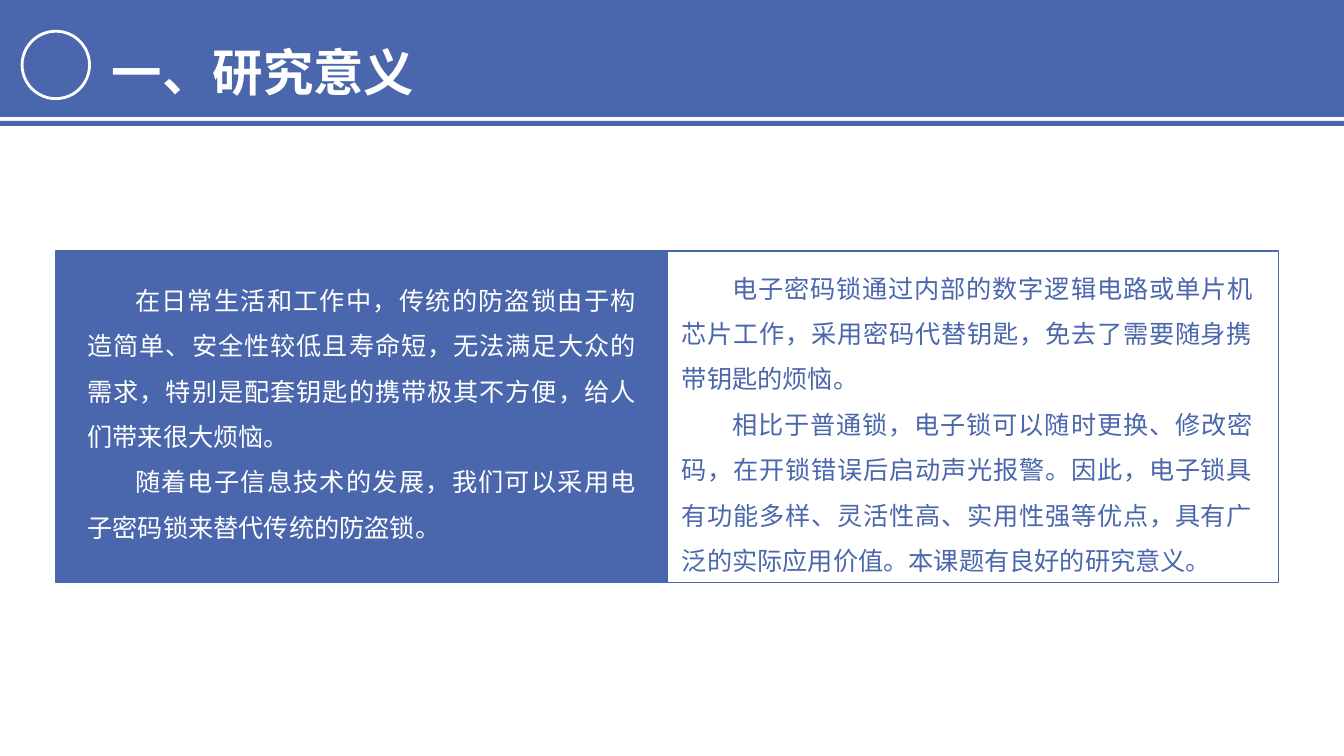
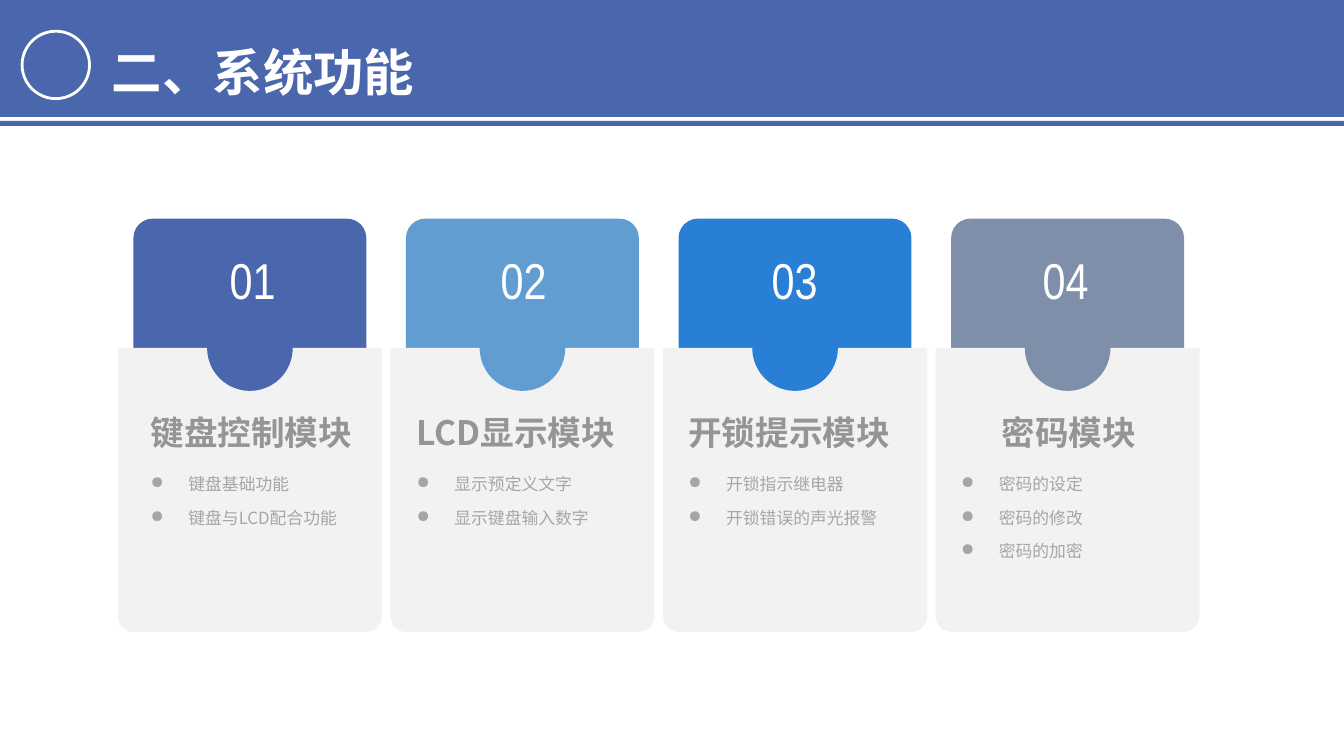
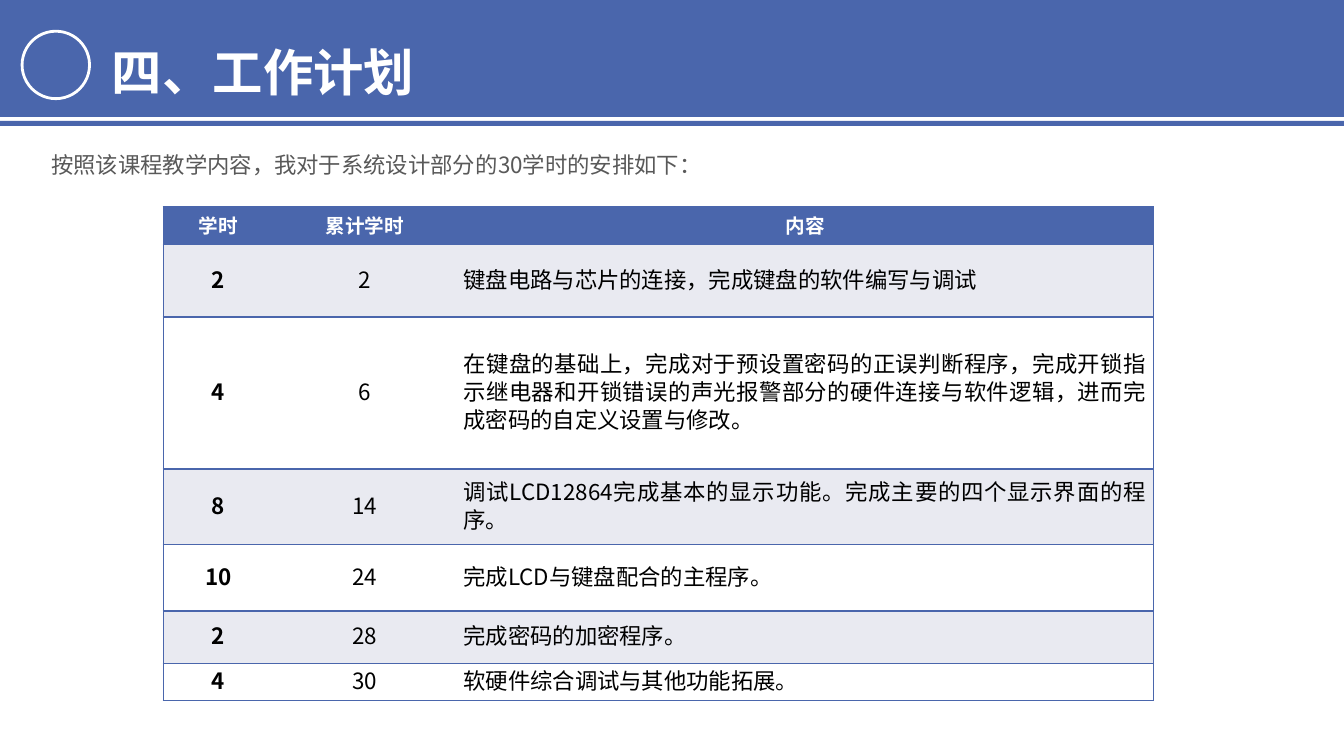
import lxml.etree
import pptx
import pptx.dml.color
import pptx.enum.shapes
import pptx.enum.text
import pptx.oxml.ns
import pptx.util

Pt = pptx.util.Pt
RGB = pptx.dml.color.RGBColor
SHAPE = pptx.enum.shapes.MSO_SHAPE
ALIGN = pptx.enum.text.PP_ALIGN
ANCHOR = pptx.enum.text.MSO_ANCHOR
qn = pptx.oxml.ns.qn

BLUE = RGB(0x4A, 0x66, 0xAC)
SKY = RGB(0x62, 0x9D, 0xD1)
AZURE = RGB(0x29, 0x7F, 0xD5)
SLATE = RGB(0x7F, 0x8F, 0xA9)
WHITE = RGB(0xFF, 0xFF, 0xFF)
BLACK = RGB(0x00, 0x00, 0x00)
PALE = RGB(0xF2, 0xF2, 0xF2)
STRIPE = RGB(0xE9, 0xEA, 0xF1)
HEAD = RGB(0x95, 0x95, 0x95)
ITEM = RGB(0xA6, 0xA6, 0xA6)
NOTE = RGB(0x59, 0x59, 0x59)
HAN = "Noto Sans CJK SC"


def put(frame, text, size=16, color=BLACK, font=HAN, bold=False, align=ALIGN.LEFT,
        space=None, before=None, indent=0, hang=0, bullet=None,
        anchor=ANCHOR.TOP, inset=(7.2, 3.6)):
    """Fill a text frame, one paragraph per line of text."""
    frame.word_wrap = True
    frame.auto_size = pptx.enum.text.MSO_AUTO_SIZE.NONE
    frame.vertical_anchor = anchor
    frame.margin_left = frame.margin_right = Pt(inset[0])
    frame.margin_top = frame.margin_bottom = Pt(inset[1])
    frame.text = text
    for para in frame.paragraphs:
        para.alignment = align
        para.line_spacing = space
        para.space_before = before
        props = para._p.get_or_add_pPr()
        props.set("marL", str(Pt(hang)))
        props.set("indent", str(Pt(indent - hang)))
        if bullet:
            lxml.etree.SubElement(props, qn("a:buChar")).set("char", bullet)
        for run in para.runs:
            run.font.size = Pt(size)
            run.font.bold = bold
            run.font.color.rgb = color
            run.font.name = font
            east = lxml.etree.SubElement(run._r.get_or_add_rPr(), qn("a:ea"))
            east.set("typeface", HAN)


def edge(cell, sides):
    """Draw the named sides of a cell (from L, R, T, B) and clear the others."""
    props = cell._tc.get_or_add_tcPr()
    for side in "LRTB":
        line = lxml.etree.SubElement(props, qn("a:ln" + side), w=str(Pt(1)))
        if side in sides:
            fill = lxml.etree.SubElement(line, qn("a:solidFill"))
            lxml.etree.SubElement(fill, qn("a:srgbClr"), val=str(BLUE))
        else:
            lxml.etree.SubElement(line, qn("a:noFill"))


class Deck:
    def __init__(self):
        self.file = pptx.Presentation()
        self.file.slide_width, self.file.slide_height = Pt(960), Pt(540)
        self.slide = None

    def page(self, title):
        """Start a slide with the banner, ring and title."""
        self.slide = self.file.slides.add_slide(self.file.slide_layouts[5])
        self.shape(SHAPE.RECTANGLE, 0, 0, 960, 83.5, BLUE)
        self.shape(SHAPE.RECTANGLE, 0, 86.4, 960, 3.6, BLUE)
        self.shape(SHAPE.OVAL, 15.8, 22.3, 48.2, 48.2, BLUE, WHITE, 2)
        head = self.slide.shapes.title
        head.left, head.top, head.width, head.height = map(Pt, (72.7, 4.3, 449.3, 66.2))
        put(head.text_frame, title, size=36, color=WHITE, bold=True, space=1.5)
        self.slide.shapes._spTree.append(head._element)  # above the banner

    def shape(self, kind, x, y, w, h, fill=None, line=None, width=1, adjust=()):
        item = self.slide.shapes.add_shape(kind, Pt(x), Pt(y), Pt(w), Pt(h))
        item.shadow.inherit = False
        for i, value in enumerate(adjust):
            item.adjustments[i] = value
        if fill is None:
            item.fill.background()
        else:
            item.fill.solid()
            item.fill.fore_color.rgb = fill
        if line is None:
            item.line.fill.background()
        else:
            item.line.color.rgb = line
            item.line.width = Pt(width)

    def text(self, x, y, w, h, text, **form):
        box = self.slide.shapes.add_textbox(Pt(x), Pt(y), Pt(w), Pt(h))
        put(box.text_frame, text, **form)

    def table(self, x, y, cols, tall, rows):
        grid = self.slide.shapes.add_table(
            len(rows), len(cols), Pt(x), Pt(y), Pt(sum(cols)), Pt(sum(tall))).table
        for col, width in zip(grid.columns, cols):
            col.width = Pt(width)
        last = len(cols) - 1
        for r, row in enumerate(rows):
            grid.rows[r].height = Pt(tall[r])
            top = r == 0
            for c, value in enumerate(row):
                cell = grid.cell(r, c)
                edge(cell, "TB" + ("L" if c == 0 else "R" if c == last else ""))
                cell.fill.solid()
                cell.fill.fore_color.rgb = BLUE if top else STRIPE if r % 2 else WHITE
                put(cell.text_frame, value, size=14 if top else 16,
                    color=WHITE if top else BLACK, bold=top or c == 0, space=Pt(20),
                    align=ALIGN.JUSTIFY if c == last and not top else ALIGN.CENTER)
                cell.vertical_anchor = ANCHOR.MIDDLE
                cell.margin_left = cell.margin_right = Pt(5)
                cell.margin_top = cell.margin_bottom = 0

    def card(self, i, color, left, title, items, align=ALIGN.LEFT):
        """Draw module card i; left is where its heading and list start."""
        x, wide, tab, knob = 84.2 + 194.7 * i, 188.6, 166.4, 61.2
        mid = x + wide / 2
        self.shape(SHAPE.ROUNDED_RECTANGLE, mid - tab / 2, 156.2, tab, 153.4, color,
                   adjust=[0.09])
        self.shape(SHAPE.ROUND_2_SAME_RECTANGLE, x, 248.6, wide, 202.8, PALE,
                   adjust=[0, 0.06])
        self.shape(SHAPE.OVAL, mid - knob / 2, 218, knob, knob, color)
        self.text(135.4 + 193.6 * i, 175, 90, 63.4, f"{i + 1:02}", size=36, color=WHITE,
                  font="Arial Narrow", align=ALIGN.CENTER, inset=(5, 2.9))
        self.text(left, 327.6, 159, 62.6, "\n".join(items), size=12, color=ITEM,
                  space=1.5, before=Pt(2.4), hang=27, bullet="●")
        self.text(left, 288, 168, 41.8, title, size=24, color=HEAD, bold=True,
                  align=align, anchor=ANCHOR.MIDDLE)


def main():
    deck = Deck()

    deck.page("一、研究意义")
    deck.shape(SHAPE.RECTANGLE, 40, 179.2, 436.6, 236.8, BLUE, BLUE)
    deck.shape(SHAPE.RECTANGLE, 476.6, 179.2, 436.6, 236.8, None, BLUE)
    body = dict(size=18, font="Arial", align=ALIGN.JUSTIFY, space=1.5)
    deck.text(55.4, 189.4, 406, 200,
              "在日常生活和工作中，传统的防盗锁由于构造简单、安全性较低且寿命短，"
              "无法满足大众的需求，特别是配套钥匙的携带极其不方便，给人们带来很大烦恼。\n"
              "随着电子信息技术的发展，我们可以采用电子密码锁来替代传统的防盗锁。",
              color=WHITE, indent=34, **body)
    deck.text(480, 180.7, 422, 233.3,
              "电子密码锁通过内部的数字逻辑电路或单片机芯片工作，采用密码代替钥匙，"
              "免去了需要随身携带钥匙的烦恼。\n"
              "相比于普通锁，电子锁可以随时更换、修改密码，在开锁错误后启动声光报警。"
              "因此，电子锁具有功能多样、灵活性高、实用性强等优点，具有广泛的实际应用价值。"
              "本课题有良好的研究意义。",
              color=BLUE, indent=36, **body)

    deck.page("二、系统功能")
    cards = [
        (BLUE, 100.5, "键盘控制模块", ["键盘基础功能", "键盘与LCD配合功能"]),
        (SKY, 290.5, "LCD显示模块", ["显示预定义文字", "显示键盘输入数字"]),
        (AZURE, 484.6, "开锁提示模块", ["开锁指示继电器", "开锁错误的声光报警"]),
        (SLATE, 679.4, "密码模块", ["密码的设定", "密码的修改", "密码的加密"], ALIGN.CENTER),
    ]
    for i, card in enumerate(cards):
        deck.card(i, *card)

    deck.page("四、工作计划")
    deck.table(116.6, 147.6, [78.5, 131, 498], [26.8, 52, 108.6, 54, 47.4, 37.4, 26.6], [
        ("学时", "累计学时", "内容"),
        ("2", "2", "键盘电路与芯片的连接，完成键盘的软件编写与调试"),
        ("4", "6", "在键盘的基础上，完成对于预设置密码的正误判断程序，完成开锁指示继电器和"
                   "开锁错误的声光报警部分的硬件连接与软件逻辑，进而完成密码的自定义设置与修改。"),
        ("8", "14", "调试LCD12864完成基本的显示功能。完成主要的四个显示界面的程序。"),
        ("10", "24", "完成LCD与键盘配合的主程序。"),
        ("2", "28", "完成密码的加密程序。"),
        ("4", "30", "软硬件综合调试与其他功能拓展。"),
    ])
    deck.text(29.5, 95, 795, 33, "按照该课程教学内容，我对于系统设计部分的30学时的安排如下：",
              color=NOTE, space=1.5)

    deck.file.save("out.pptx")


if __name__ == "__main__":
    main()
